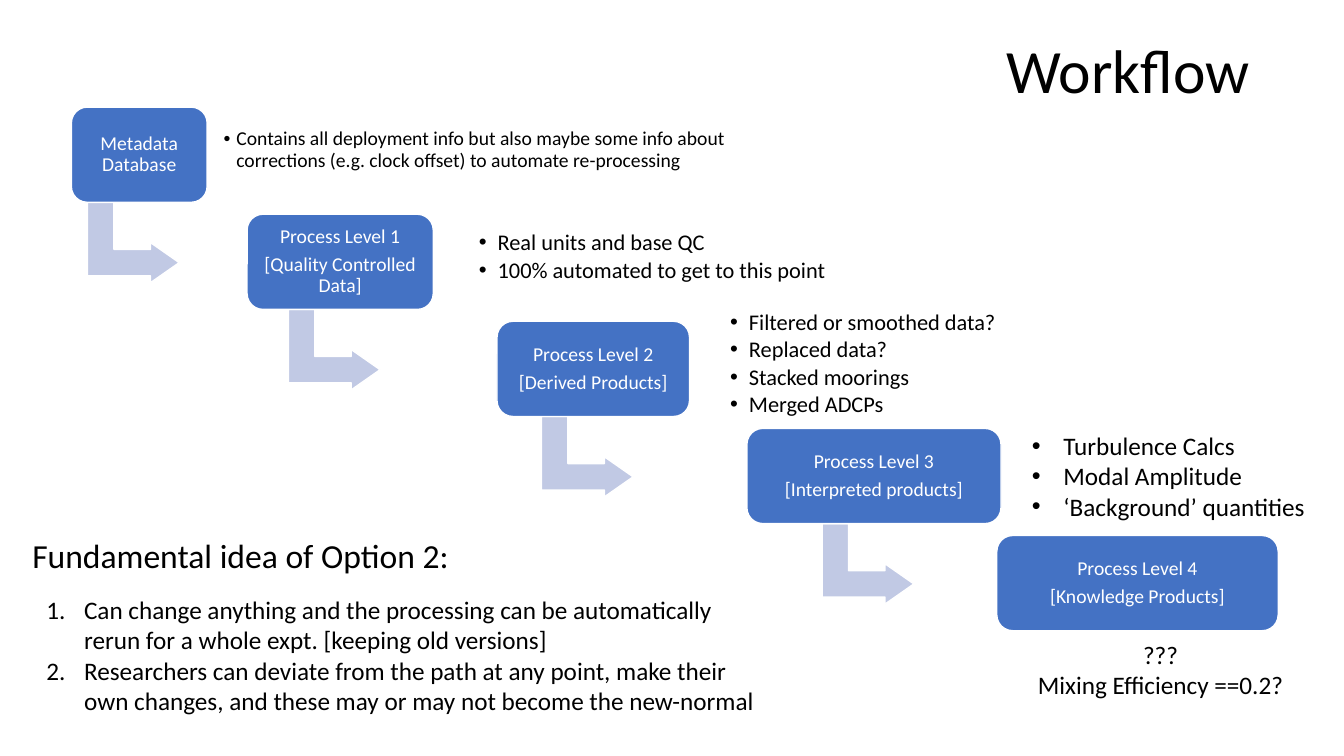
from lxml import etree
from pptx import Presentation
from pptx import util as u
from pptx.dml.color import RGBColor
from pptx.enum import shapes, text
from pptx.oxml.ns import qn

FONT = "Calibri"
BLACK, WHITE, BLUE, PALE = "000000", "FFFFFF", "4472C4", "C1C9E4"
PITCH, HIGH = 76.5, 68  # step spacing and box height

# left, width, label lines
STEPS = [
    (51, 97, ["Metadata Database"]),
    (176.5, 133, ["Process Level 1", "[Quality Controlled Data]"]),
    (355, 137.5, ["Process Level 2", "[Derived Products]"]),
    (533.5, 181.5, ["Process Level 3", "[Interpreted products]"]),
    (712, 201, ["Process Level 4", "[Knowledge Products]"]),
]

# left, width, text size, bullet indent, inset, lines; one per early step
NOTES = [
    (155.5, 372, 14, 9, 4.3,
     ["Contains all deployment info but also maybe some info about "
      "corrections (e.g. clock offset) to automate re-processing"]),
    (337, 263.5, 16, 13.5, 5,
     ["Real units and base QC", "100% automated to get to this point"]),
    (516.5, 286, 16, 13.5, 5,
     ["Filtered or smoothed data?", "Replaced data?",
      "Stacked moorings", "Merged ADCPs"]),
]


def paint(fmt, color):
    """Give a fill or font a solid colour from a hex string."""
    if hasattr(fmt, "solid"):
        fmt.solid()
        fmt = fmt.fore_color
    else:
        fmt = fmt.color
    fmt.rgb = RGBColor.from_string(color)


def mark(para, indent, auto):
    """Hang a paragraph behind a bullet or an automatic number."""
    prop = para._p.get_or_add_pPr()
    prop.set("marL", str(u.Pt(indent)))
    prop.set("indent", str(-u.Pt(indent)))
    if auto:
        etree.SubElement(prop, qn("a:buAutoNum"), type="arabicPeriod")
    else:
        etree.SubElement(prop, qn("a:buFont"), typeface="Arial")
        etree.SubElement(prop, qn("a:buChar"), char="•")


def write(shape, lines, size, color=BLACK, align=text.PP_ALIGN.LEFT,
          middle=False, inset=None, tight=None, after=0, indent=0, auto=False):
    """Fill a shape with formatted paragraphs."""
    frame = shape.text_frame
    frame.word_wrap = True
    frame.vertical_anchor = (text.MSO_ANCHOR.MIDDLE if middle
                             else text.MSO_ANCHOR.TOP)
    if inset is not None:
        frame.margin_left = frame.margin_right = u.Pt(inset)
        frame.margin_top = frame.margin_bottom = u.Pt(inset)
    frame.text = "\n".join(lines)
    for para in frame.paragraphs:
        para.alignment = align
        para.line_spacing = tight
        para.space_after = u.Pt(after)
        if indent:
            mark(para, indent, auto)
        for run in para.runs:
            run.font.name, run.font.size = FONT, u.Pt(size)
            paint(run.font, color)
    return frame


def label(slide, left, top, width, height, lines, size, **style):
    """Add a text box and return its frame."""
    box = slide.shapes.add_textbox(*map(u.Pt, (left, top, width, height)))
    return write(box, lines, size, **style)


def hug(frame):
    """Let a text box fit its unwrapped lines."""
    frame.word_wrap = False
    frame.auto_size = text.MSO_AUTO_SIZE.SHAPE_TO_FIT_TEXT


def block(slide, kind, left, top, width, height, color, adjust):
    """Add a filled preset shape with a thin white outline."""
    shape = slide.shapes.add_shape(
        kind, *map(u.Pt, (left, top, width, height)))
    shape.shadow.inherit = False
    paint(shape.fill, color)
    paint(shape.line.fill, WHITE)
    shape.line.width = u.Pt(1)
    for i, value in enumerate(adjust):
        shape.adjustments[i] = value
    return shape


def step(slide, left, top, width, lines, last):
    """Add one process box, with an arrow to the next unless last."""
    kinds = shapes.MSO_SHAPE
    if not last:
        arrow = block(slide, kinds.BENT_UP_ARROW, left + width / 2 - 33,
                      top + 64, 57.5, 65.5, PALE, [0.328, 0.25, 0.358])
        arrow.rotation = 90
    box = block(slide, kinds.ROUNDED_RECTANGLE, left, top, width, HIGH,
                BLUE, [0.167])
    write(box, lines, 14, color=WHITE, align=text.PP_ALIGN.CENTER,
          middle=True, inset=4.3, tight=0.9, after=4.9)


def main():
    """Build the workflow slide."""
    deck = Presentation()
    deck.slide_width, deck.slide_height = u.Pt(960), u.Pt(540)
    slide = deck.slides.add_slide(deck.slide_layouts[6])

    label(slide, 712, 0, 240, 104.5, ["Workflow"], 44, middle=True, tight=0.9)

    for i, (left, width, lines) in enumerate(STEPS):
        step(slide, left, PITCH * (i + 1), width, lines, i == len(STEPS) - 1)
    for i, (left, width, size, indent, inset, lines) in enumerate(NOTES):
        label(slide, left, PITCH * (i + 1) + 3.5, width, 54.5, lines, size,
              middle=True, inset=inset, tight=0.9, after=size * 0.15,
              indent=indent)

    hug(label(slide, 730, 304, 211.5, 72.5,
              ["Turbulence Calcs", "Modal Amplitude",
               "‘Background’ quantities"], 18, indent=22.5))
    hug(label(slide, 733, 453, 192, 51, ["???", "Mixing Efficiency ==0.2?"],
              18, align=text.PP_ALIGN.CENTER))

    label(slide, 16, 303, 443, 190, ["Fundamental idea of Option 2:"], 24,
          middle=True, tight=0.9)
    label(slide, 26, 421, 531.5, 95,
          ["Can change anything and the processing can be automatically "
           "rerun for a whole expt. [keeping old versions]",
           "Researchers can deviate from the path at any point, make their "
           "own changes, and these may or may not become the new-normal"],
          18, indent=27, auto=True)

    deck.save("out.pptx")


main()
